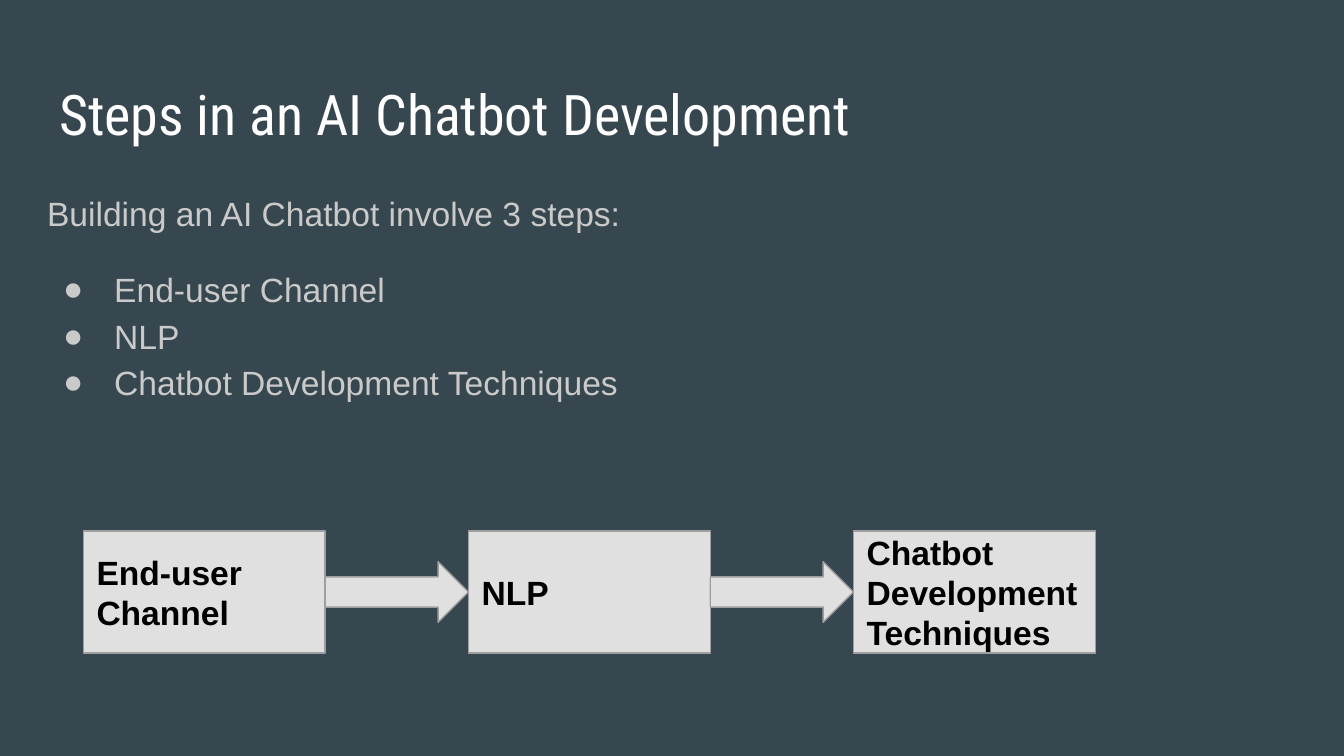
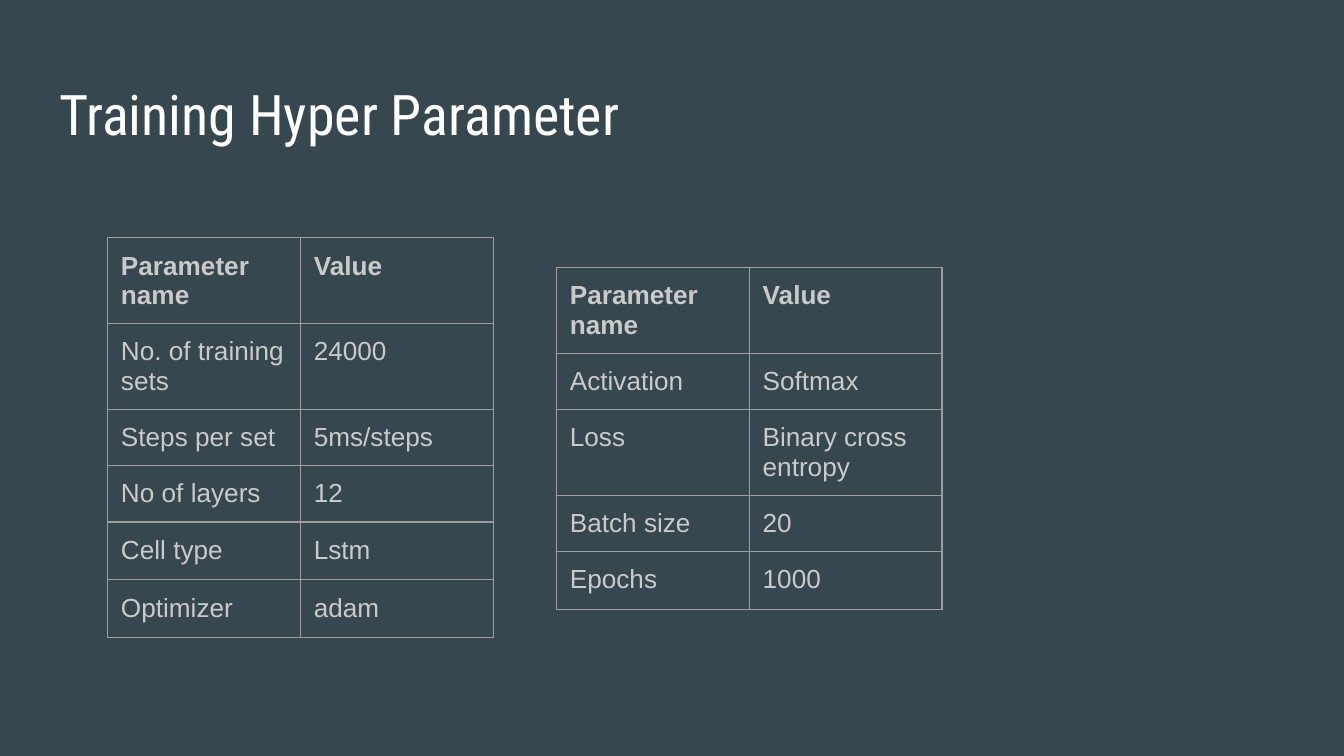
from dataclasses import dataclass

from lxml import etree
from pptx import Presentation
from pptx.dml.color import RGBColor
from pptx.enum.shapes import MSO_SHAPE
from pptx.enum.text import MSO_ANCHOR, MSO_AUTO_SIZE, PP_ALIGN
from pptx.oxml.ns import qn
from pptx.util import Inches, Pt

RECTANGLE = MSO_SHAPE.RECTANGLE
RIGHT_ARROW = MSO_SHAPE.RIGHT_ARROW
TOP = MSO_ANCHOR.TOP
MIDDLE = MSO_ANCHOR.MIDDLE
LEFT = PP_ALIGN.LEFT
NO_FIT = MSO_AUTO_SIZE.NONE


@dataclass(frozen=True)
class Theme:
    background: str = "37474F"
    title: str = "FFFFFF"
    text: str = "CACACA"
    step: str = "E0E0E0"
    step_text: str = "000000"
    line: str = "9E9E9E"
    title_font: str = "Roboto Condensed"
    body_font: str = "Arial"
    title_size: int = 30
    body_size: int = 18
    table_size: int = 14
    line_width: float = 0.75
    inset: float = 0.1
    line_spacing: float = 1.15


@dataclass(frozen=True)
class Box:
    left: float
    top: float
    width: float
    height: float

    def inches(self):
        return [Inches(side) for side in (self.left, self.top, self.width, self.height)]


THEME = Theme()
TITLE_BOX = Box(0.34, 0.49, 9.32, 0.63)
BODY_BOX = Box(0.25, 1.29, 9.32, 3.74)
FLOW_BOX = Box(0.62, 3.95, 7.53, 0.91)

STEPS = ["End-user Channel", "NLP", "Chatbot Development Techniques"]
HEADER = ("Parameter name", "Value")
TRAINING_ROWS = [
    HEADER,
    ("No. of training sets", "24000"),
    ("Steps per set", "5ms/steps"),
    ("No of layers", "12"),
    ("Cell type", "Lstm"),
    ("Optimizer", "adam"),
]
MODEL_ROWS = [
    HEADER,
    ("Activation", "Softmax"),
    ("Loss", "Binary cross entropy"),
    ("Batch size", "20"),
    ("Epochs", "1000"),
]


def color(value):
    return RGBColor.from_string(value)


def add_span(para, text, size, ink, font=THEME.body_font, bold=False):
    span = para.add_run()
    span.text = text
    span.font.name = font
    span.font.size = Pt(size)
    span.font.bold = bold
    span.font.color.rgb = color(ink)
    para.alignment = LEFT


def set_insets(holder):
    holder.margin_left = holder.margin_right = Inches(THEME.inset)
    holder.margin_top = holder.margin_bottom = Inches(THEME.inset)


def place(holder, box, anchor=TOP):
    holder.left, holder.top, holder.width, holder.height = box.inches()
    frame = holder.text_frame
    set_insets(frame)
    frame.word_wrap = True
    frame.auto_size = NO_FIT
    frame.vertical_anchor = anchor
    return frame


def set_bullet(para, bulleted):
    properties = para._p.get_or_add_pPr()
    indent = Inches(0.38) if bulleted else 0
    properties.set("marL", str(Inches(0.5) if bulleted else 0))
    properties.set("indent", str(-indent))
    if not bulleted:
        etree.SubElement(properties, qn("a:buNone"))
        return
    ink = etree.SubElement(properties, qn("a:buClr"))
    etree.SubElement(ink, qn("a:srgbClr"), val=THEME.text)
    etree.SubElement(properties, qn("a:buFont"), typeface=THEME.body_font)
    etree.SubElement(properties, qn("a:buChar"), char="●")


def add_page(deck, layout_name, title):
    page = deck.slides.add_slide(deck.slide_layouts.get_by_name(layout_name))
    frame = place(page.shapes.title, TITLE_BOX)
    add_span(frame.paragraphs[0], title, THEME.title_size, THEME.title, THEME.title_font)
    return page


def fill_body(holder, box, lead, items):
    frame = place(holder, box)
    for index, text in enumerate([lead, *items]):
        para = frame.add_paragraph() if index else frame.paragraphs[0]
        para.line_spacing = THEME.line_spacing
        para.space_before = Pt(16 if index == 1 else 0)
        set_bullet(para, index > 0)
        add_span(para, text, THEME.body_size, THEME.text)


def add_step_shape(page, kind, box):
    shape = page.shapes.add_shape(kind, *box.inches())
    shape.shadow.inherit = False
    shape.fill.solid()
    shape.fill.fore_color.rgb = color(THEME.step)
    shape.line.color.rgb = color(THEME.line)
    shape.line.width = Pt(THEME.line_width)
    return shape


def add_flow(page, box, steps, step_width=1.8, arrow_height=0.45):
    gap = (box.width - len(steps) * step_width) / (len(steps) - 1)
    arrow_top = box.top + (box.height - arrow_height) / 2
    for index, text in enumerate(steps):
        left = box.left + index * (step_width + gap)
        if index:
            add_step_shape(page, RIGHT_ARROW, Box(left - gap, arrow_top, gap, arrow_height))
        step_box = Box(left, box.top, step_width, box.height)
        step = add_step_shape(page, RECTANGLE, step_box)
        frame = place(step, step_box, MIDDLE)
        add_span(frame.paragraphs[0], text, THEME.body_size, THEME.step_text, bold=True)


def set_borders(cell):
    properties = cell._tc.get_or_add_tcPr()
    for side in ("lnL", "lnR", "lnT", "lnB"):
        line = etree.SubElement(properties, qn(f"a:{side}"), w=str(Pt(THEME.line_width)))
        fill = etree.SubElement(line, qn("a:solidFill"))
        etree.SubElement(fill, qn("a:srgbClr"), val=THEME.line)


def add_parameter_table(page, left, top, rows, heights):
    box = Box(left, top, 2.87, sum(heights))
    table = page.shapes.add_table(len(rows), len(HEADER), *box.inches()).table
    table.first_row = table.horz_banding = False
    for column in table.columns:
        column.width = Inches(box.width / len(HEADER))
    for row_index, (texts, height) in enumerate(zip(rows, heights)):
        table.rows[row_index].height = Inches(height)
        for column_index, text in enumerate(texts):
            cell = table.cell(row_index, column_index)
            set_insets(cell)
            set_borders(cell)
            cell.fill.background()
            para = cell.text_frame.paragraphs[0]
            add_span(para, text, THEME.table_size, THEME.text, bold=row_index == 0)


def add_steps_page(deck):
    page = add_page(deck, "Title and Content", "Steps in an AI Chatbot Development")
    fill_body(page.placeholders[1], BODY_BOX, "Building an AI Chatbot involve 3 steps:", STEPS)
    add_flow(page, FLOW_BOX, STEPS)


def add_parameters_page(deck):
    page = add_page(deck, "Title Only", "Training Hyper Parameter")
    add_parameter_table(page, 0.8, 1.77, TRAINING_ROWS, [0.6, 0.42, 0.42, 0.42, 0.43, 0.43])
    add_parameter_table(page, 4.14, 1.99, MODEL_ROWS, [0.6, 0.42, 0.42, 0.42, 0.43])


def main():
    deck = Presentation()
    deck.slide_width = Inches(10)
    deck.slide_height = deck.slide_width * 9 // 16
    backdrop = deck.slide_master.background.fill
    backdrop.solid()
    backdrop.fore_color.rgb = color(THEME.background)
    add_steps_page(deck)
    add_parameters_page(deck)
    deck.save("out.pptx")


if __name__ == "__main__":
    main()
